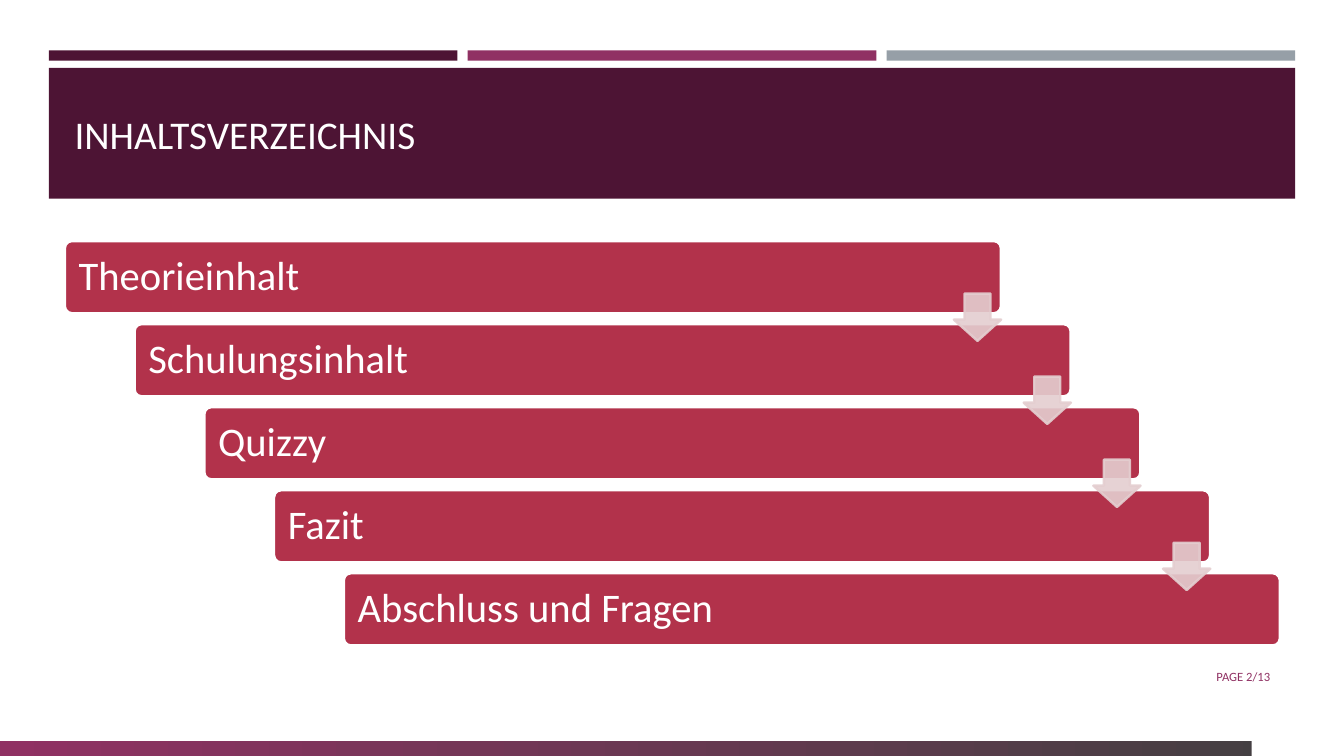
from dataclasses import dataclass

from pptx import Presentation
from pptx.dml.color import RGBColor
from pptx.enum.shapes import MSO_SHAPE
from pptx.enum.text import MSO_ANCHOR, PP_ALIGN
from pptx.oxml.ns import qn
from pptx.util import Cm, Pt

RECTANGLE = MSO_SHAPE.RECTANGLE
ROUNDED = MSO_SHAPE.ROUNDED_RECTANGLE
DOWN_ARROW = MSO_SHAPE.DOWN_ARROW
MIDDLE = MSO_ANCHOR.MIDDLE
LEFT, RIGHT = PP_ALIGN.LEFT, PP_ALIGN.RIGHT
TITLE_ONLY = 5


@dataclass(frozen=True)
class Theme:
    """Colours, font and type sizes of the deck."""
    font: str = "Calibri"
    plum: str = "4D1434"
    magenta: str = "903163"
    grey: str = "969FA7"
    charcoal: str = "404040"
    red: str = "B2324B"
    rose: str = "E4CED0"
    white: str = "FFFFFF"
    title_size: float = 28
    step_size: float = 29
    page_size: float = 9


THEME = Theme()
TOPICS = ["Theorieinhalt", "Schulungsinhalt", "Quizzy", "Fazit", "Abschluss und Fragen"]


def colour(code):
    """Turn a hex code into a colour."""
    return RGBColor.from_string(code)


def add_block(page, kind, box, fill):
    """Add a flat shape without outline or shadow."""
    shape = page.shapes.add_shape(kind, *map(Cm, box))
    shape.shadow.inherit = False
    shape.fill.solid()
    shape.fill.fore_color.rgb = colour(fill)
    shape.line.fill.background()
    return shape


def set_outline(shape, code, width):
    """Give a shape a solid outline."""
    shape.line.color.rgb = colour(code)
    shape.line.width = Pt(width)


def write(shape, text, size, code, align=LEFT, inset=0.25):
    """Write one vertically centred line of text into a shape."""
    frame = shape.text_frame
    frame.text = text
    frame.word_wrap = True
    frame.vertical_anchor = MIDDLE
    frame.margin_left = frame.margin_right = Cm(inset)
    para = frame.paragraphs[0]
    para.alignment = align
    font = para.runs[0].font
    font.name, font.size = THEME.font, Pt(size)
    font.color.rgb = colour(code)
    return para


def add_top_stripes(page, box):
    """Split the box into three coloured stripes with equal gaps."""
    left, top, width, height = box
    gap = 0.26
    stripe = (width - 2 * gap) / 3
    for index, fill in enumerate((THEME.plum, THEME.magenta, THEME.grey)):
        add_block(page, RECTANGLE, (left + index * (stripe + gap), top, stripe, height), fill)


def add_footer_bar(page, box):
    """Draw the gradient bar and the white gap at its right end."""
    left, top, width, height = box
    bar = add_block(page, RECTANGLE, box, THEME.magenta)
    bar.fill.gradient()
    bar.fill.gradient_angle = 0
    for stop, code in zip(bar.fill.gradient_stops, (THEME.magenta, THEME.charcoal)):
        stop.color.rgb = colour(code)
    gap = 2.33
    add_block(page, RECTANGLE, (left + width - gap, top, gap, height), THEME.white)


def add_title(page, box, text):
    """Place the title on its plum band."""
    left, top, width, height = box
    band = add_block(page, RECTANGLE, box, THEME.plum)
    title = page.shapes.title
    title.element.addprevious(band.element)
    title.left, title.top = Cm(left + 0.4), Cm(top + 0.25)
    title.width, title.height = Cm(width - 0.8), Cm(height - 0.5)
    write(title, text, THEME.title_size, THEME.white)


def add_arrow(page, box):
    """Draw a translucent arrow pointing to the next step."""
    arrow = add_block(page, DOWN_ARROW, box, THEME.rose)
    arrow.adjustments[0], arrow.adjustments[1] = 0.55, 0.45
    set_outline(arrow, THEME.rose, 1.75)
    for code in arrow.element.spPr.iter(qn("a:srgbClr")):
        code.makeelement(qn("a:alpha"))
        alpha = code.makeelement(qn("a:alpha"), {"val": "90000"})
        code.append(alpha)


def add_staircase(page, box, topics):
    """Lay the topics out as descending steps joined by arrows."""
    left, top, width, height = box
    bar_width, bar_height, arrow_size = 23.6, 1.83, 1.19
    shift = (width - bar_width) / (len(topics) - 1)
    drop = (height - bar_height) / (len(topics) - 1)
    corners = [(left + index * shift, top + index * drop) for index in range(len(topics))]
    for (x, y), topic in zip(corners, topics):
        bar = add_block(page, ROUNDED, (x, y, bar_width, bar_height), THEME.red)
        bar.adjustments[0] = 0.1
        set_outline(bar, THEME.white, 2)
        para = write(bar, topic, THEME.step_size, THEME.white, inset=0.3)
        para.line_spacing = 0.9
    for x, y in corners[:-1]:
        add_arrow(page, (x + bar_width - arrow_size, y + 1.33, arrow_size, arrow_size))


def add_page_number(page, box, text):
    """Write the page count, aligned right."""
    label = page.shapes.add_textbox(*map(Cm, box))
    para = write(label, text, THEME.page_size, THEME.magenta, RIGHT)
    para.space_after = Pt(6)


def build_contents(deck):
    """Build the table of contents slide."""
    page = deck.slides.add_slide(deck.slide_layouts[TITLE_ONLY])
    add_title(page, (1.23, 1.71, 31.41, 3.3), "INHALTSVERZEICHNIS")
    add_top_stripes(page, (1.23, 1.27, 31.41, 0.26))
    add_footer_bar(page, (0, 18.67, 33.87, 0.38))
    add_staircase(page, (1.63, 6.07, 30.63, 10.2), TOPICS)
    add_page_number(page, (29.34, 16.54, 2.92, 1.02), "PAGE 2/13")


def main():
    """Create and save the deck."""
    deck = Presentation()
    deck.slide_width, deck.slide_height = Cm(33.87), Cm(19.05)
    build_contents(deck)
    deck.save("out.pptx")


if __name__ == "__main__":
    main()
